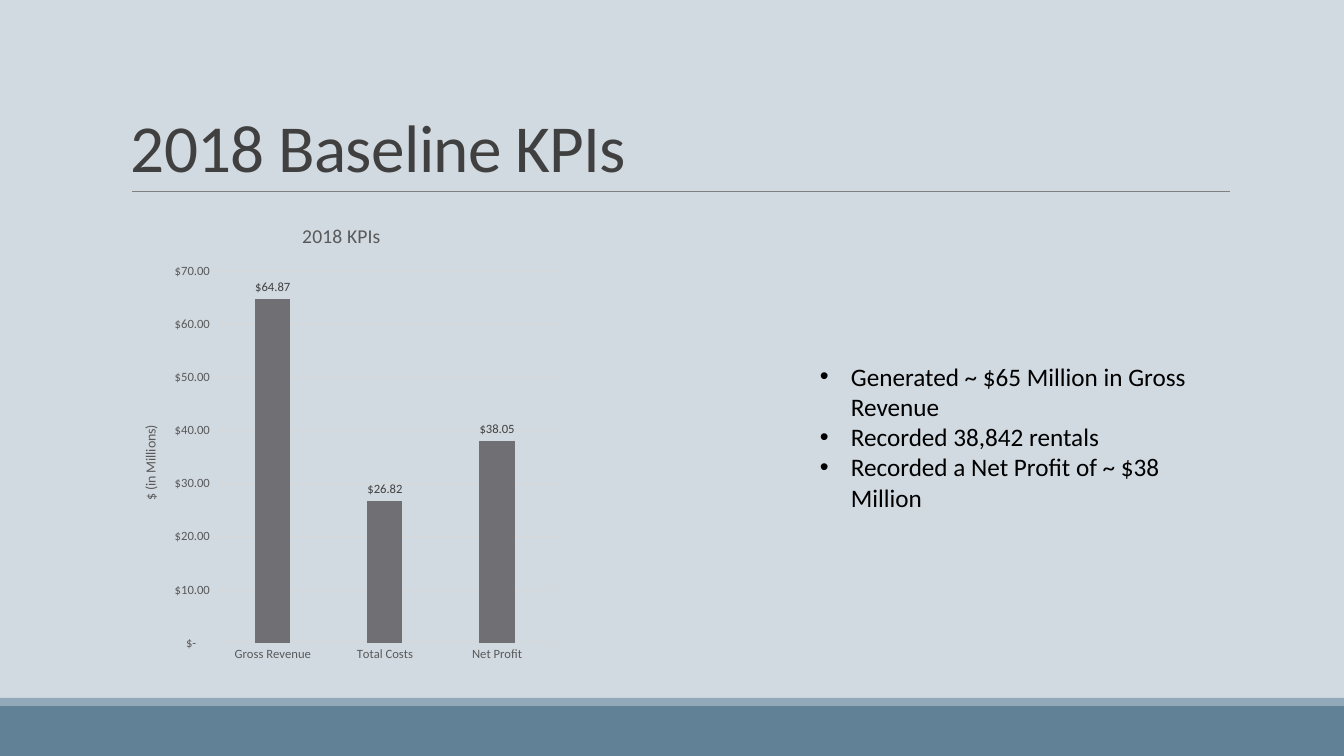
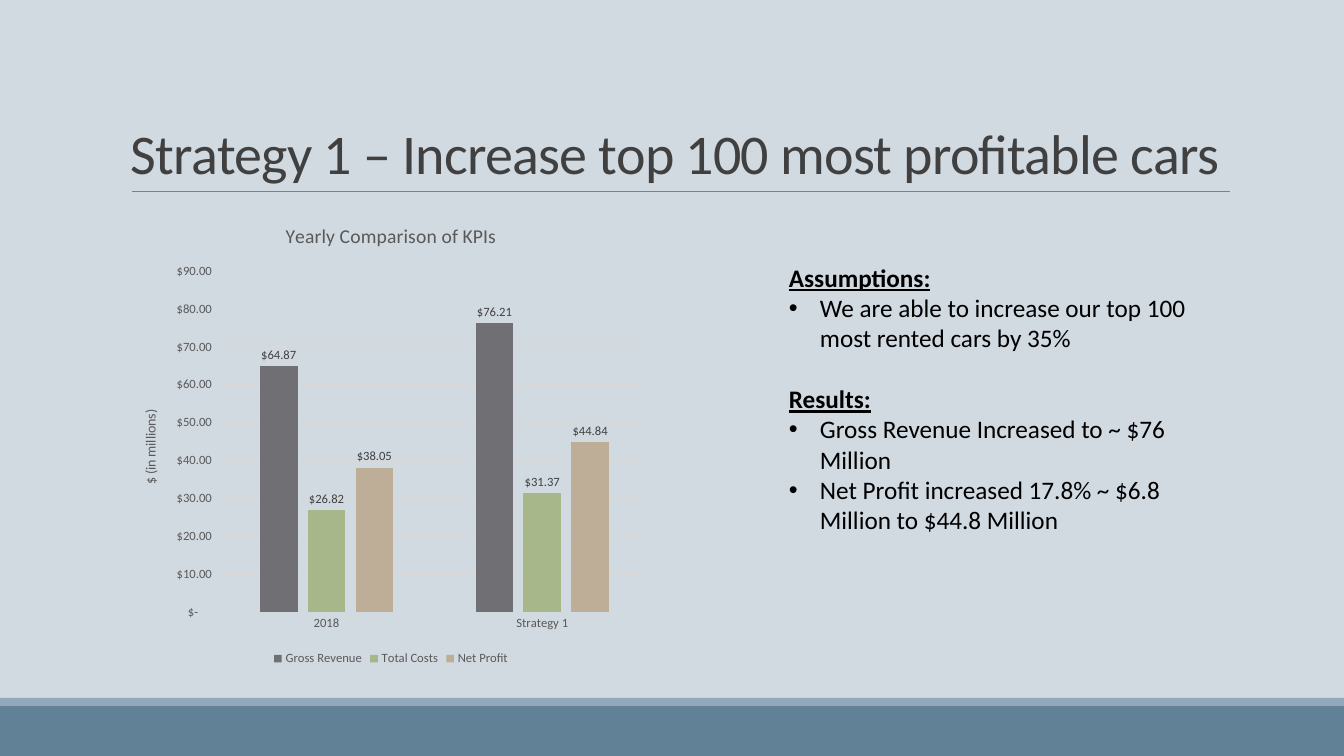
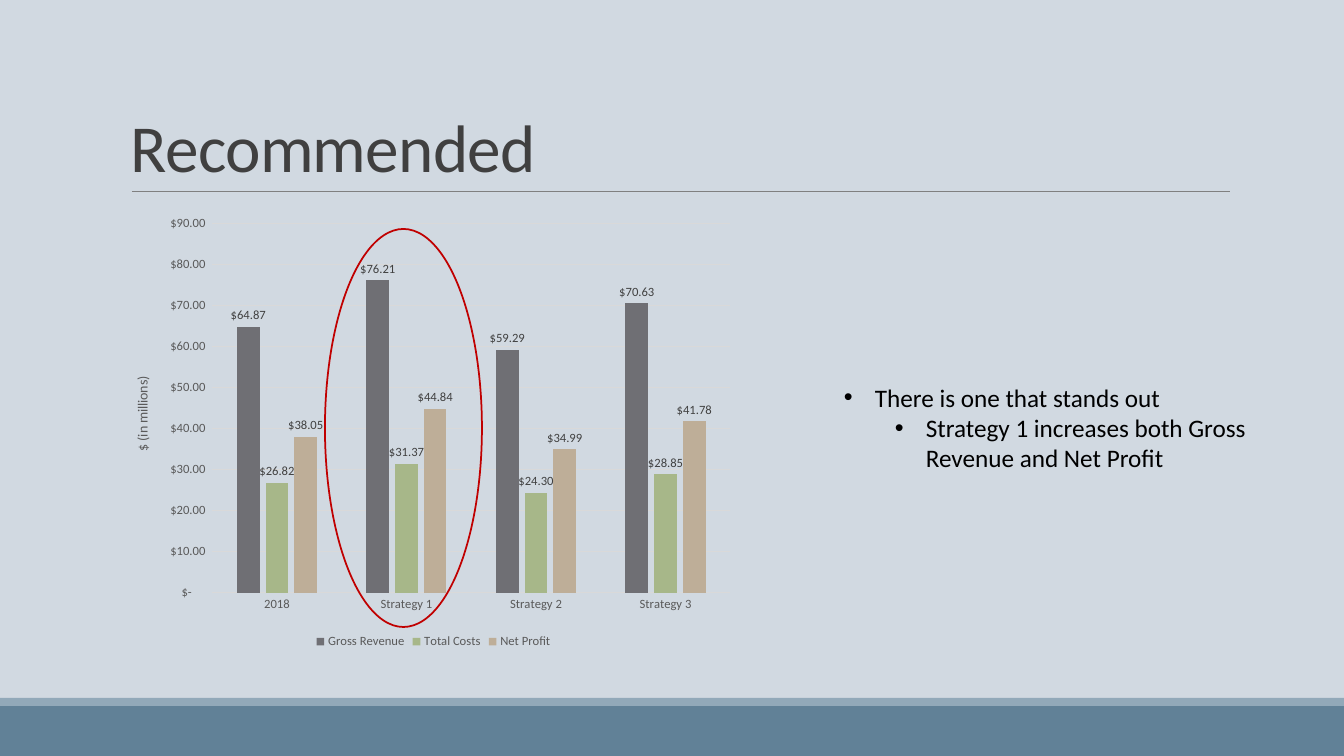
"""Build three slides that compare yearly KPIs and recommend a strategy."""
from lxml.etree import SubElement
from pptx import Presentation
from pptx.chart.data import CategoryChartData
from pptx.dml.color import RGBColor
from pptx.enum.chart import XL_CHART_TYPE as ChartType
from pptx.enum.chart import XL_LABEL_POSITION as LabelPosition
from pptx.enum.chart import XL_LEGEND_POSITION as LegendPosition
from pptx.enum.chart import XL_TICK_MARK as TickMark
from pptx.enum.shapes import MSO_CONNECTOR as Connector
from pptx.enum.shapes import MSO_SHAPE as Shape
from pptx.enum.text import MSO_ANCHOR as Anchor
from pptx.oxml import parse_xml
from pptx.oxml.ns import nsdecls, qn
from pptx.util import Emu, Pt

PIXEL = 914400 / 100.8
FONT = "Calibri"
MONEY = '_("$"* #,##0.00_);_("$"* \\(#,##0.00\\);_("$"* "-"??_);_(@_)'

BACKGROUND = RGBColor(0xD1, 0xD9, 0xE1)
BAND = RGBColor(0x61, 0x81, 0x97)
BAND_EDGE = RGBColor(0x92, 0xA9, 0xB9)
RULE = RGBColor(0x80, 0x80, 0x80)
BLACK = RGBColor(0x00, 0x00, 0x00)
DARK = RGBColor(0x40, 0x40, 0x40)
AXIS_TEXT = RGBColor(0x59, 0x59, 0x59)
GRID = RGBColor(0xD9, 0xD9, 0xD9)
HIGHLIGHT = RGBColor(0xC0, 0x00, 0x00)
SERIES_COLORS = [
    RGBColor(0x6F, 0x6F, 0x74),
    RGBColor(0xA7, 0xB7, 0x89),
    RGBColor(0xBE, 0xAE, 0x98),
]

HEADING = {"bold": True, "underline": True}
LATER_HEADING = {**HEADING, "space_before": 22}
BULLET = {"indent": 31}
SUB_BULLET = {"indent": 82, "level": 1}

SLIDES = [
    {
        "title": "2018 Baseline KPIs",
        "title_size": 48,
        "chart_box": (121, 204, 441, 467),
        "chart_title": "2018 KPIs",
        "axis_title": "$ (in Millions)",
        "axis_maximum": 70,
        "categories": ["Gross Revenue", "Total Costs", "Net Profit"],
        "series": {"Series 1": [64.87, 26.82, 38.05]},
        "text_box": (810, 356, 419, 163),
        "text": [
            ("Generated ~ $65 Million in Gross Revenue", BULLET),
            ("Recorded 38,842 rentals", BULLET),
            ("Recorded a Net Profit of ~ $38 Million", BULLET),
        ],
    },
    {
        "title": "Strategy 1 – Increase top 100 most profitable cars",
        "title_size": 40,
        "chart_box": (121, 204, 540, 466),
        "chart_title": "Yearly Comparison of KPIs",
        "axis_title": "$ (in millions)",
        "axis_maximum": 90,
        "categories": ["2018", "Strategy 1"],
        "series": {
            "Gross Revenue": [64.87, 76.21],
            "Total Costs": [26.82, 31.37],
            "Net Profit": [38.05, 44.84],
        },
        "text_box": (779, 257, 445, 316),
        "text": [
            ("Assumptions:", HEADING),
            ("We are able to increase our top 100 most rented cars by 35%", BULLET),
            ("Results:", LATER_HEADING),
            ("Gross Revenue Increased to ~ $76 Million", BULLET),
            ("Net Profit increased 17.8% ~ $6.8 Million to $44.8 Million", BULLET),
        ],
    },
    {
        "title": "Recommended",
        "title_size": 48,
        "chart_box": (121, 204, 625, 449),
        "plot_area": {"x": 0.146, "y": 0.044, "w": 0.829, "h": 0.822},
        "axis_title": "$ (in millions)",
        "axis_maximum": 90,
        "categories": ["2018", "Strategy 1", "Strategy 2", "Strategy 3"],
        "series": {
            "Gross Revenue": [64.87, 76.21, 59.29, 70.63],
            "Total Costs": [26.82, 31.37, 24.3, 28.85],
            "Net Profit": [38.05, 44.84, 34.99, 41.78],
        },
        "text_box": (834, 377, 456, 102),
        "text": [
            ("There is one that stands out", BULLET),
            ("Strategy 1 increases both Gross Revenue and Net Profit", SUB_BULLET),
        ],
        "highlight_box": (325, 229, 157, 398),
    },
]


def pixels(*lengths):
    """Turn pixel lengths into EMU."""
    return [Emu(round(length * PIXEL)) for length in lengths]


def write(paragraph, text, size=18, color=BLACK, bold=False, underline=False,
          tracking=None, line_spacing=None, space_before=0, indent=None, level=0):
    """Add one formatted run of text to a paragraph."""
    run = paragraph.add_run()
    run.text = text
    font = run.font
    font.name, font.size, font.bold = FONT, Pt(size), bold
    font.underline = underline
    font.color.rgb = color
    if tracking:
        run._r.get_or_add_rPr().set("spc", str(tracking))
    if line_spacing:
        paragraph.line_spacing = line_spacing
    if space_before:
        paragraph.space_before = Pt(space_before)
    if indent:
        paragraph.level = level
        properties = paragraph._p.get_or_add_pPr()
        margin, hanging = pixels(indent, -31)
        properties.set("marL", str(margin))
        properties.set("indent", str(hanging))
        SubElement(properties, qn("a:buFont")).set("typeface", "Arial")
        SubElement(properties, qn("a:buChar")).set("char", "•")


presentation = Presentation()
presentation.slide_width, presentation.slide_height = pixels(1344, 756)
master_fill = presentation.slide_master.background.fill
master_fill.solid()
master_fill.fore_color.rgb = BACKGROUND

for content in SLIDES:
    slide = presentation.slides.add_slide(presentation.slide_layouts[6])
    shapes = slide.shapes

    for top, height, color in [(706, 50, BAND), (698, 8, BAND_EDGE)]:
        band = shapes.add_shape(Shape.RECTANGLE, *pixels(0, top, 1344, height))
        band.shadow.inherit = False
        band.fill.solid()
        band.fill.fore_color.rgb = color
        band.line.fill.background()

    rule = shapes.add_connector(Connector.STRAIGHT, *pixels(132, 191, 1230, 191))
    rule.line.color.rgb = RULE
    rule.line.width = Pt(0.5)
    SubElement(rule._element.spPr, qn("a:effectLst"))

    title_frame = shapes.add_textbox(*pixels(121, 31, 1109, 160)).text_frame
    title_frame.word_wrap = True
    title_frame.vertical_anchor = Anchor.BOTTOM
    write(title_frame.paragraphs[0], content["title"], size=content["title_size"],
          color=DARK, tracking=-50, line_spacing=0.85)

    chart_data = CategoryChartData(number_format=MONEY)
    chart_data.categories = content["categories"]
    for name, values in content["series"].items():
        chart_data.add_series(name, values)
    chart = shapes.add_chart(ChartType.COLUMN_CLUSTERED,
                             *pixels(*content["chart_box"]), chart_data).chart
    chart.font.name, chart.font.size = FONT, Pt(10)
    chart.font.color.rgb = BLACK

    chart.has_title = "chart_title" in content
    if chart.has_title:
        write(chart.chart_title.text_frame.paragraphs[0], content["chart_title"],
              size=14, color=AXIS_TEXT)
        chart.chart_title.include_in_layout = False

    chart.has_legend = len(content["series"]) > 1
    texts = [chart.category_axis.tick_labels, chart.value_axis.tick_labels]
    if chart.has_legend:
        chart.legend.position = LegendPosition.BOTTOM
        chart.legend.include_in_layout = False
        texts.append(chart.legend)
    for item in texts:
        item.font.name, item.font.size = FONT, Pt(9)
        item.font.color.rgb = AXIS_TEXT

    value_axis = chart.value_axis
    for axis in (chart.category_axis, value_axis):
        axis.major_tick_mark = axis.minor_tick_mark = TickMark.NONE
    value_axis.minimum_scale = 0
    value_axis.maximum_scale = content["axis_maximum"]
    value_axis.major_unit = 10
    value_axis.tick_labels.number_format = MONEY
    value_axis.tick_labels.number_format_is_linked = False
    value_axis.format.line.fill.background()
    for line in (chart.category_axis.format.line, value_axis.major_gridlines.format.line):
        line.color.rgb = GRID
        line.width = Pt(0.75)
    axis_frame = value_axis.axis_title.text_frame
    write(axis_frame.paragraphs[0], content["axis_title"], size=10, color=AXIS_TEXT)
    axis_frame._txBody.bodyPr.set("rot", "-5400000")
    axis_frame._txBody.bodyPr.set("vert", "horz")

    plot = chart.plots[0]
    plot.vary_by_categories = False
    plot.gap_width, plot.overlap = 219, -27
    for series, color in zip(plot.series, SERIES_COLORS):
        series.format.fill.solid()
        series.format.fill.fore_color.rgb = color
        labels = series.data_labels
        labels.show_value = True
        labels.position = LabelPosition.OUTSIDE_END
        labels.number_format, labels.number_format_is_linked = MONEY, False
        labels.font.name, labels.font.size = FONT, Pt(9)
        labels.font.color.rgb = DARK

    if "plot_area" in content:
        plot_area = chart.element.find(".//" + qn("c:plotArea"))
        for layout in plot_area.findall(qn("c:layout")):
            plot_area.remove(layout)
        layout = parse_xml(f"<c:layout {nsdecls('c')}/>")
        manual = SubElement(layout, qn("c:manualLayout"))
        SubElement(manual, qn("c:layoutTarget")).set("val", "inner")
        for side in "xy":
            SubElement(manual, qn(f"c:{side}Mode")).set("val", "edge")
        for side, share in content["plot_area"].items():
            SubElement(manual, qn(f"c:{side}")).set("val", str(share))
        plot_area.insert(0, layout)

    text_frame = shapes.add_textbox(*pixels(*content["text_box"])).text_frame
    text_frame.word_wrap = True
    for index, (text, style) in enumerate(content["text"]):
        paragraph = text_frame.add_paragraph() if index else text_frame.paragraphs[0]
        write(paragraph, text, **style)

    if "highlight_box" in content:
        highlight = shapes.add_shape(Shape.OVAL, *pixels(*content["highlight_box"]))
        highlight.shadow.inherit = False
        highlight.fill.background()
        highlight.line.color.rgb = HIGHLIGHT
        highlight.line.width = Pt(1.25)

presentation.save("out.pptx")
